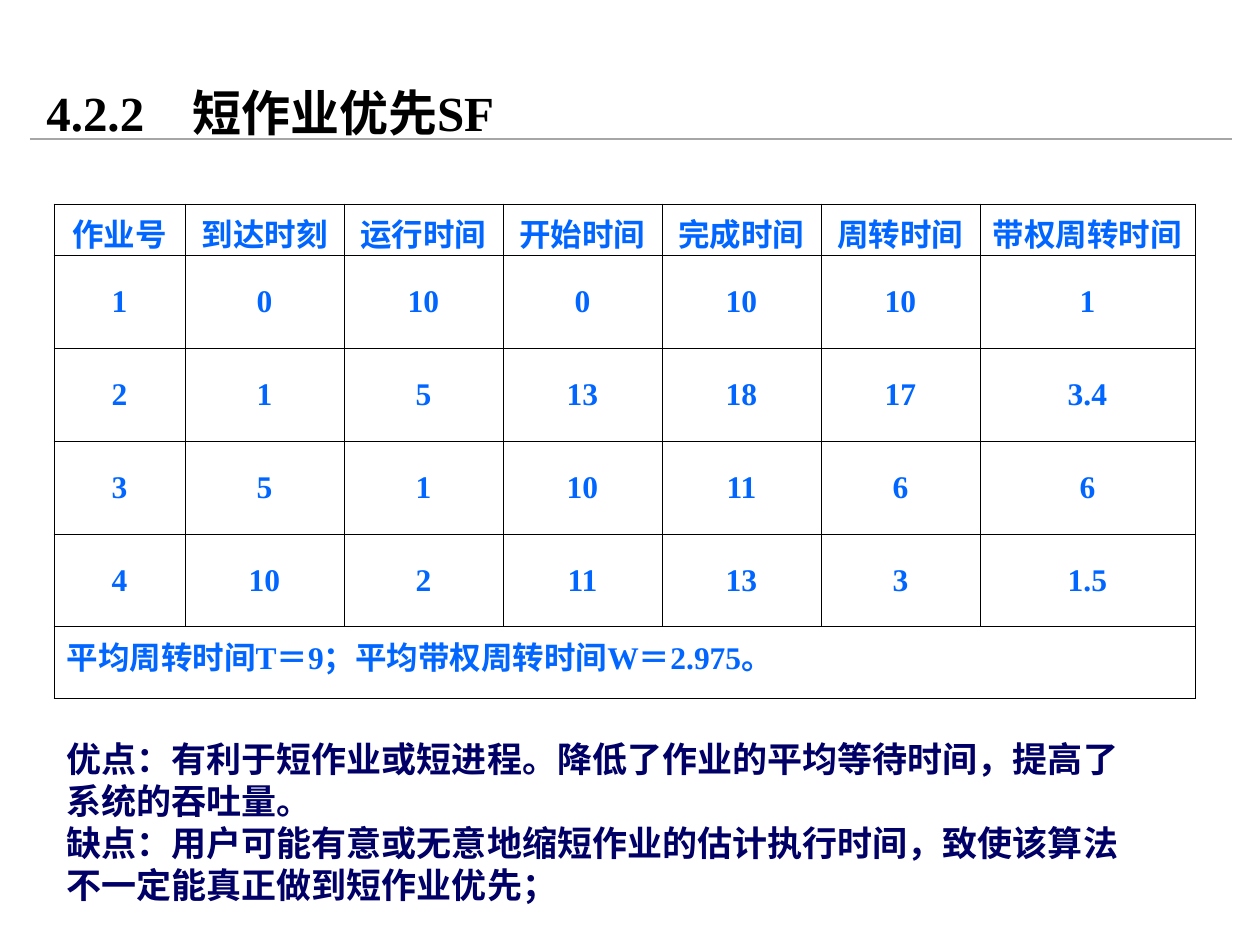
from dataclasses import dataclass

from lxml.etree import SubElement
from pptx import Presentation
from pptx.dml.color import RGBColor
from pptx.enum.shapes import MSO_CONNECTOR
from pptx.enum.text import MSO_ANCHOR, PP_ALIGN
from pptx.oxml.ns import qn
from pptx.util import Emu, Pt

TITLE = "4.2.2\t短作业优先SF"
HEADINGS = ["作业号", "到达时刻", "运行时间", "开始时间", "完成时间", "周转时间", "带权周转时间"]
JOBS = [
    (1, 0, 10, 0, 10, 10, 1),
    (2, 1, 5, 13, 18, 17, 3.4),
    (3, 5, 1, 10, 11, 6, 6),
    (4, 10, 2, 11, 13, 3, 1.5),
]
AVERAGES = "平均周转时间T＝9；平均带权周转时间W＝2.975。"
REMARKS = [
    "优点：有利于短作业或短进程。降低了作业的平均等待时间，提高了系统的吞吐量。",
    "缺点：用户可能有意或无意地缩短作业的估计执行时间，致使该算法不一定能真正做到短作业优先；",
]

# Lengths in px, 126 to the inch
SLIDE = (1260, 945)
RULE = (30, 139, 1232, 139)
TITLE_BOX = (34, 76, 1027, 72)
TITLE_TAB = 146
TABLE_AT = (54, 204)
COLUMNS = [131] + [159] * 5 + [215]
ROWS = [51] + [93] * len(JOBS) + [72]
REMARKS_BOX = (54, 731, 1101, 181)


@dataclass(frozen=True)
class Theme:
    serif: str = "Times New Roman"
    sans: str = "Noto Sans CJK SC"
    title: str = "000000"
    table: str = "0066FF"
    remarks: str = "000066"
    rule: str = "A6A6A6"
    border: str = "000000"
    title_size: int = 28
    table_size: int = 18
    remarks_size: int = 20
    remarks_leading: int = 24
    rule_width: float = 0.75
    border_width: float = 0.45


THEME = Theme()


def px(length):
    return Emu(length * 7257)


def style(paragraph, size, color, face):
    font = paragraph.font
    font.size, font.bold, font.name = Pt(size), True, face
    font.color.rgb = RGBColor.from_string(color)
    defaults = paragraph._p.get_or_add_pPr().find(qn("a:defRPr"))
    SubElement(defaults, qn("a:ea"), typeface=THEME.sans)


def add_text(slide, box, anchor):
    frame = slide.shapes.add_textbox(*map(px, box)).text_frame
    frame.word_wrap = True
    frame.vertical_anchor = anchor
    return frame


def add_borders(cell):
    properties = cell._tc.get_or_add_tcPr()
    for position, side in enumerate(("a:lnL", "a:lnR", "a:lnT", "a:lnB")):
        line = properties.makeelement(qn(side), {"w": str(Pt(THEME.border_width))})
        SubElement(SubElement(line, qn("a:solidFill")), qn("a:srgbClr"), val=THEME.border)
        properties.insert(position, line)


def add_title(slide):
    rule = slide.shapes.add_connector(MSO_CONNECTOR.STRAIGHT, *map(px, RULE))
    rule.line.color.rgb = RGBColor.from_string(THEME.rule)
    rule.line.width = Pt(THEME.rule_width)
    SubElement(rule._element.spPr, qn("a:effectLst"))

    title = add_text(slide, TITLE_BOX, MSO_ANCHOR.TOP).paragraphs[0]
    title.text = TITLE
    tabs = SubElement(title._p.get_or_add_pPr(), qn("a:tabLst"))
    SubElement(tabs, qn("a:tab"), pos=str(px(TITLE_TAB)), algn="l")
    style(title, THEME.title_size, THEME.title, THEME.serif)


def add_schedule(slide):
    size = px(sum(COLUMNS)), px(sum(ROWS))
    table = slide.shapes.add_table(
        len(ROWS), len(COLUMNS), *map(px, TABLE_AT), *size).table
    for column, width in zip(table.columns, COLUMNS):
        column.width = px(width)
    for row, height in zip(table.rows, ROWS):
        row.height = px(height)

    summary = len(ROWS) - 1
    averages = [AVERAGES] + [""] * (len(COLUMNS) - 1)
    for r, values in enumerate([HEADINGS, *JOBS, averages]):
        for c, value in enumerate(values):
            cell = table.cell(r, c)
            cell.fill.background()
            add_borders(cell)
            cell.vertical_anchor = MSO_ANCHOR.TOP if r == summary else MSO_ANCHOR.MIDDLE
            paragraph = cell.text_frame.paragraphs[0]
            paragraph.text = str(value)
            paragraph.alignment = PP_ALIGN.LEFT if r == summary else PP_ALIGN.CENTER
            style(paragraph, THEME.table_size, THEME.table, THEME.serif)
    table.cell(summary, 0).merge(table.cell(summary, len(COLUMNS) - 1))


def add_remarks(slide):
    frame = add_text(slide, REMARKS_BOX, MSO_ANCHOR.MIDDLE)
    for i, remark in enumerate(REMARKS):
        paragraph = frame.add_paragraph() if i else frame.paragraphs[0]
        paragraph.text = remark
        paragraph.line_spacing = Pt(THEME.remarks_leading)
        style(paragraph, THEME.remarks_size, THEME.remarks, THEME.sans)


def main():
    deck = Presentation()
    deck.slide_width, deck.slide_height = map(px, SLIDE)
    slide = deck.slides.add_slide(deck.slide_layouts[6])
    add_title(slide)
    add_schedule(slide)
    add_remarks(slide)
    deck.save("out.pptx")


if __name__ == "__main__":
    main()
